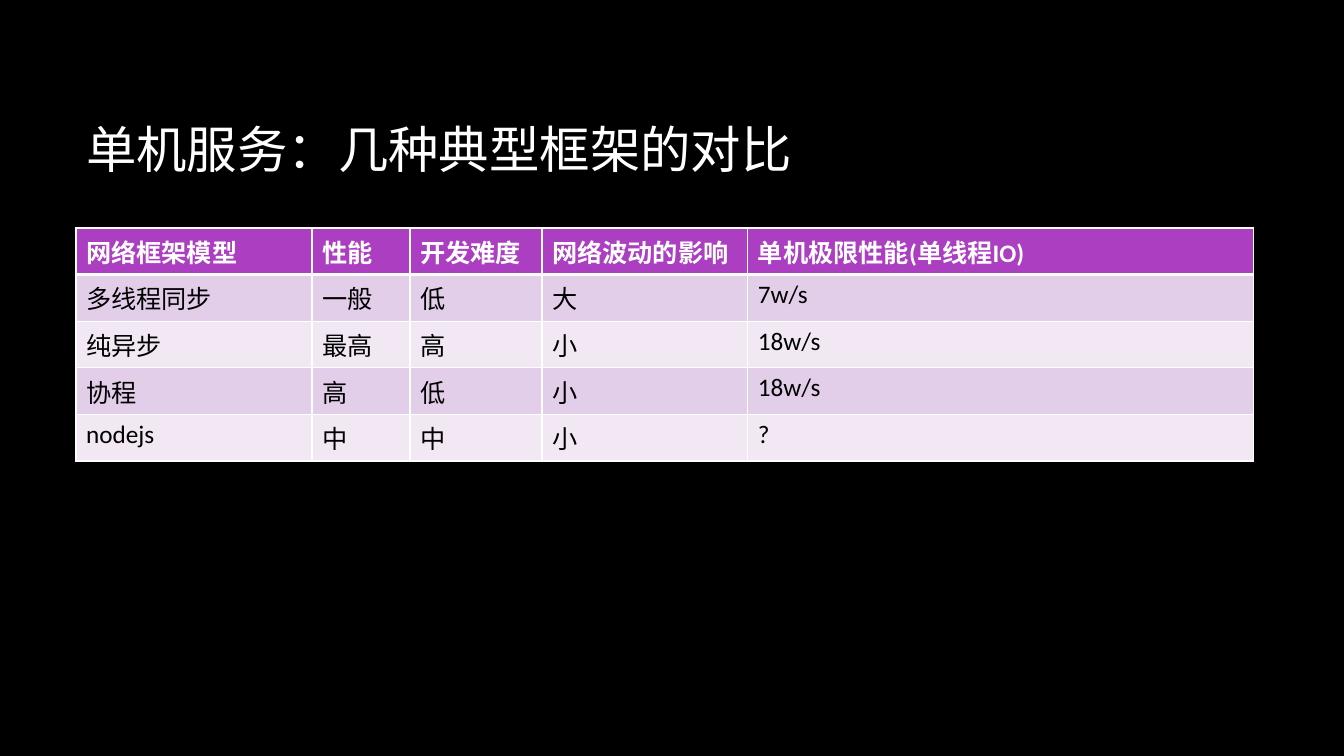
"""Build a slide comparing typical single-machine network frameworks."""
from lxml import etree
from pptx import Presentation
from pptx import util as u
from pptx.dml import color
from pptx.enum import text
from pptx.oxml import ns

EMU_PER_PX = 914400 / 100.8
COLORS = {
    "background": "000000",
    "light": "FFFFFF",
    "dark": "000000",
    "header": "AC3EC1",
    "odd": "E3CEE9",
    "even": "F1E8F4",
}
CJK_FONT = "Noto Sans CJK SC"
TITLE_FORMAT = {"name": CJK_FONT, "size": u.Pt(36), "bold": False}
HEADER_FORMAT = {"name": "Calibri", "size": u.Pt(18), "bold": True}
BODY_FORMAT = {**HEADER_FORMAT, "bold": False}
COLUMN_WIDTHS = [236, 98, 132, 206, 506]
ROW_HEIGHT = 41
ROWS = [
    ["网络框架模型", "性能", "开发难度", "网络波动的影响", "单机极限性能(单线程IO)"],
    ["多线程同步", "一般", "低", "大", "7w/s"],
    ["纯异步", "最高", "高", "小", "18w/s"],
    ["协程", "高", "低", "小", "18w/s"],
    ["nodejs", "中", "中", "小", "?"],
]


def px(length):
    return u.Emu(round(length * EMU_PER_PX))


def rgb(name):
    return color.RGBColor.from_string(COLORS[name])


def write_text(frame, words, font_format, color_name):
    paragraph = frame.paragraphs[0]
    paragraph.alignment = text.PP_ALIGN.LEFT
    run = paragraph.add_run()
    run.text = words
    for attribute, value in font_format.items():
        setattr(run.font, attribute, value)
    run.font.color.rgb = rgb(color_name)
    properties = run._r.get_or_add_rPr()
    etree.SubElement(properties, ns.qn("a:ea"), typeface=CJK_FONT)


def set_borders(cell, widths):
    properties = cell._tc.get_or_add_tcPr()
    for side, width in widths.items():
        line = etree.SubElement(properties, ns.qn(f"a:ln{side}"), w=str(u.Pt(width)))
        fill = etree.SubElement(line, ns.qn("a:solidFill"))
        etree.SubElement(fill, ns.qn("a:srgbClr"), val=COLORS["light"])


def add_title(slide, words):
    title = slide.shapes.title
    box = {"left": 76, "top": 68, "width": 1117, "height": 160}
    for attribute, value in box.items():
        setattr(title, attribute, px(value))
    frame = title.text_frame
    frame.auto_size = text.MSO_AUTO_SIZE.NONE
    frame.vertical_anchor = text.MSO_ANCHOR.MIDDLE
    write_text(frame, words, TITLE_FORMAT, "light")


def fill_cell(cell, words, row_index):
    header = row_index == 0
    set_borders(cell, {
        "L": 1,
        "R": 1,
        "T": 3 if row_index == 1 else 1,
        "B": 3 if header else 1,
    })
    cell.fill.solid()
    band = "odd" if row_index % 2 else "even"
    cell.fill.fore_color.rgb = rgb("header" if header else band)
    font_format = HEADER_FORMAT if header else BODY_FORMAT
    write_text(cell.text_frame, words, font_format, "light" if header else "dark")


def add_comparison_table(slide):
    frame = slide.shapes.add_table(
        len(ROWS), len(COLUMN_WIDTHS), px(76), px(228),
        px(sum(COLUMN_WIDTHS)), px(ROW_HEIGHT * len(ROWS)))
    table = frame.table
    for column, width in zip(table.columns, COLUMN_WIDTHS):
        column.width = px(width)
    for row_index, (row, words) in enumerate(zip(table.rows, ROWS)):
        row.height = px(ROW_HEIGHT)
        for cell, cell_words in zip(row.cells, words):
            fill_cell(cell, cell_words, row_index)


def main():
    presentation = Presentation()
    presentation.slide_width = px(1344)
    presentation.slide_height = px(756)
    slide = presentation.slides.add_slide(presentation.slide_layouts[5])
    background = slide.background.fill
    background.solid()
    background.fore_color.rgb = rgb("background")
    add_title(slide, "单机服务：几种典型框架的对比")
    add_comparison_table(slide)
    presentation.save("out.pptx")


if __name__ == "__main__":
    main()
